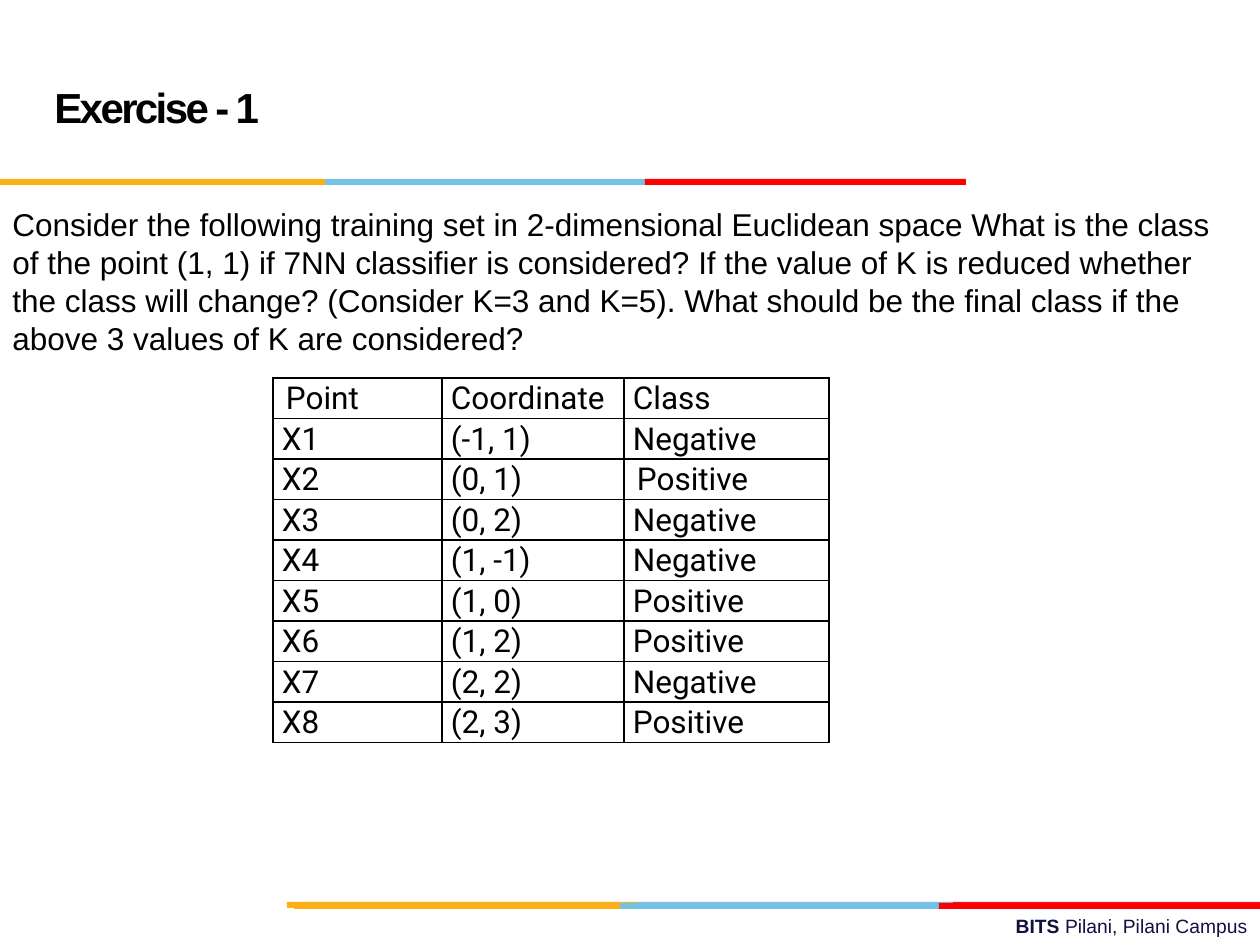
from itertools import pairwise
from lxml import etree
from pptx import Presentation
from pptx.dml.color import RGBColor
from pptx.enum import shapes, text
from pptx.oxml.ns import qn
from pptx.util import Pt

TITLE = "Exercise - 1"
TASK = (
    "Consider the following training set in 2-dimensional Euclidean space "
    "What is the class of the point (1, 1) if 7NN classifier is considered? "
    "If the value of K is reduced whether the class will change? "
    "(Consider K=3 and K=5). What should be the final class if the above "
    "3 values of K are considered?"
)
FOOTER = ["BITS ", "Pilani, Pilani Campus"]
ROWS = [
    ("Point", "Coordinate", "Class"),
    ("X1", "(-1, 1)", "Negative"),
    ("X2", "(0, 1)", "Positive"),
    ("X3", "(0, 2)", "Negative"),
    ("X4", "(1, -1)", "Negative"),
    ("X5", "(1, 0)", "Positive"),
    ("X6", "(1, 2)", "Positive"),
    ("X7", "(2, 2)", "Negative"),
    ("X8", "(2, 3)", "Positive"),
]
COLS = [169, 182, 205]
HIGH = 365
WIDE_INDENT = {(0, 0), (2, 2)}
GOLD, SKY, RED, DARK_RED = "FCB017", "76C2E5", "FF0000", "E31C24"
BANDS = [
    (902, [287, 638, 953, 1260], [GOLD, SKY, DARK_RED]),
    (903, [294, 620, 939, 1260], [GOLD, SKY, RED]),
    (179, [0, 325, 645, 966], [GOLD, SKY, RED]),
]
BLACK, NAVY = "000000", "101141"


def px(n):
    return round(n * 914400 / 126)


def color(code):
    return RGBColor.from_string(code)


def style(run, size, code, face="Arial", bold=False):
    font = run.font
    font.size, font.name, font.bold = Pt(size), face, bold
    font.color.rgb = color(code)


def add_text(box, parts):
    frame = slide.shapes.add_textbox(*map(px, box)).text_frame
    frame.word_wrap = True
    para = frame.paragraphs[0]
    for part in parts:
        para.add_run().text = part
    return frame, para


def border(cell):
    props = cell._tc.get_or_add_tcPr()
    for spot, side in enumerate(("lnL", "lnR", "lnT", "lnB")):
        line = etree.Element(qn("a:" + side), w=str(Pt(1)))
        fill = etree.SubElement(line, qn("a:solidFill"))
        etree.SubElement(fill, qn("a:srgbClr"), val=BLACK)
        props.insert(spot, line)


def add_band(top, edges, codes):
    for (left, right), code in zip(pairwise(edges), codes):
        bar = slide.shapes.add_shape(
            shapes.MSO_SHAPE.RECTANGLE, px(left), px(top), px(right - left), px(6))
        bar.shadow.inherit = False
        bar.fill.solid()
        bar.fill.fore_color.rgb = color(code)
        bar.line.fill.background()


def add_grid():
    grid = slide.shapes.add_table(
        len(ROWS), len(COLS), px(273), px(378), px(sum(COLS)), px(HIGH)).table
    for col, width in zip(grid.columns, COLS):
        col.width = px(width)
    for r, row in enumerate(ROWS):
        grid.rows[r].height = px(HIGH / len(ROWS))
        for c, word in enumerate(row):
            cell = grid.cell(r, c)
            cell.fill.background()
            border(cell)
            cell.margin_left = px(13 if (r, c) in WIDE_INDENT else 9)
            cell.margin_right = cell.margin_top = cell.margin_bottom = 0
            cell.text_frame.text = word
            para = cell.text_frame.paragraphs[0]
            para.line_spacing = 1.07
            style(para.runs[0], 18, BLACK, "Roboto")


deck = Presentation()
deck.slide_width, deck.slide_height = px(1260), px(945)
slide = deck.slides.add_slide(deck.slide_layouts[6])

_, para = add_text((451, 908, 809, 37), FOOTER)
para.alignment = text.PP_ALIGN.RIGHT
for run, bold in zip(para.runs, (True, False)):
    style(run, 11, NAVY, bold=bold)

for band in BANDS:
    add_band(*band)
add_grid()

frame, para = add_text((42, 21, 872, 158), [TITLE])
frame.vertical_anchor = text.MSO_ANCHOR.MIDDLE
para.line_spacing = Pt(36)
style(para.runs[0], 24, BLACK, bold=True)
para.runs[0].font._element.set("spc", "-150")

_, para = add_text((0, 199, 1251, 231), [TASK])
para.space_after = Pt(4)
style(para.runs[0], 18, BLACK)

deck.save("out.pptx")
